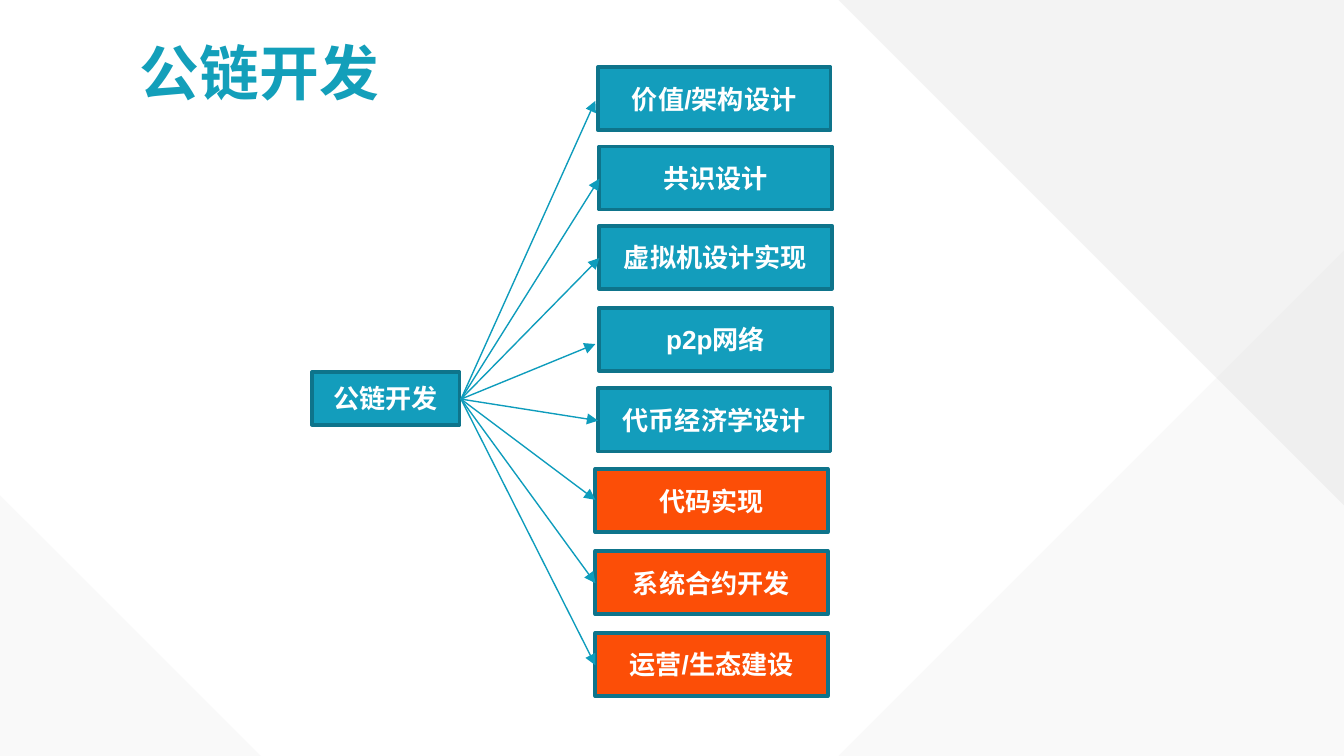
from pptx import Presentation
from pptx.dml.color import RGBColor
from pptx.enum.shapes import MSO_CONNECTOR, MSO_SHAPE
from pptx.enum.text import MSO_ANCHOR, PP_ALIGN
from pptx.oxml.ns import qn
from pptx.util import Inches, Pt
from lxml.etree import SubElement

TEAL = "139DBC"
ORANGE = "FC4E07"
BORDER = "0E748B"
ARROW = "0E9CBC"
TITLE = "139FBA"
GRAY = "D9D9D9"
WHITE = "FFFFFF"
TOPICS = [
    ("价值/架构设计", (2.13, 0), (2.11, 0.25), TEAL),
    ("共识设计", (2.14, 0.59), (2.14, 0.83), TEAL),
    ("虚拟机设计实现", (2.14, 1.18), (2.14, 1.42), TEAL),
    ("p2p网络", (2.14, 1.79), (2.11, 2.06), TEAL),
    ("代币经济学设计", (2.13, 2.39), (2.13, 2.63), TEAL),
    ("代码实现", (2.11, 2.99), (2.11, 3.22), ORANGE),
    ("系统合约开发", (2.11, 3.6), (2.11, 3.84), ORANGE),
    ("运营/生态建设", (2.11, 4.21), (2.11, 4.45), ORANGE),
]


def color(value):
    return RGBColor.from_string(value)


def write_text(shape, text, size, font_color):
    text_frame = shape.text_frame
    text_frame.text = text
    text_frame.vertical_anchor = MSO_ANCHOR.MIDDLE
    paragraph = text_frame.paragraphs[0]
    paragraph.alignment = PP_ALIGN.CENTER
    font = paragraph.runs[0].font
    font.name = "Arial"
    font.size = Pt(size)
    font.bold = True
    font.color.rgb = color(font_color)


def add_corner(slide, left, top, size, alpha, rotation=0, flip=False):
    shape = slide.shapes.add_shape(
        MSO_SHAPE.RIGHT_TRIANGLE, Inches(left), Inches(top), Inches(size), Inches(size))
    shape.shadow.inherit = False
    shape.rotation = rotation
    shape.fill.solid()
    shape.fill.fore_color.rgb = color(GRAY)
    shape.line.fill.background()
    fill_color = shape._element.spPr.find(qn("a:solidFill")).find(qn("a:srgbClr"))
    SubElement(fill_color, qn("a:alpha")).set("val", str(alpha * 1000))
    if flip:
        shape._element.spPr.find(qn("a:xfrm")).set("flipH", "1")


def add_background(slide, width, height):
    large, small = 3.76, 1.94
    add_corner(slide, width - large, height - large, large, 14, flip=True)
    add_corner(slide, 0, height - small, small, 14)
    add_corner(slide, width - large, 0, large, 30, rotation=180)


def add_title(slide, left, top, width, height):
    title = slide.shapes.add_textbox(Inches(left), Inches(top), Inches(width), Inches(height))
    text_frame = title.text_frame
    text_frame.word_wrap = True
    text_frame.margin_left = text_frame.margin_right = Inches(0.1)
    text_frame.margin_top = text_frame.margin_bottom = Inches(0.1)
    write_text(title, "公链开发", 32, TITLE)


def add_box(slide, text, left, top, width, height, fill):
    box = slide.shapes.add_shape(
        MSO_SHAPE.RECTANGLE, Inches(left), Inches(top), Inches(width), Inches(height))
    box.shadow.inherit = False
    box.fill.solid()
    box.fill.fore_color.rgb = color(fill)
    box.line.color.rgb = color(BORDER)
    box.line.width = Pt(2)
    write_text(box, text, 14, WHITE)


def add_arrow(slide, start, end):
    arrow = slide.shapes.add_connector(
        MSO_CONNECTOR.STRAIGHT, *(Inches(value) for value in start + end))
    arrow.line.color.rgb = color(ARROW)
    arrow.line.width = Pt(0.75)
    SubElement(arrow.line._get_or_add_ln(), qn("a:tailEnd")).set("type", "triangle")
    SubElement(arrow._element.spPr, qn("a:effectLst"))


def add_topic_tree(slide, left, top):
    add_box(slide, "公链开发", left, top + 2.27, 1.1, 0.39, TEAL)
    for text, (box_left, box_top), _, fill in TOPICS:
        add_box(slide, text, left + box_left, top + box_top, 1.73, 0.47, fill)
    start = (left + 1.11, top + 2.47)
    for _, _, (tip_left, tip_top), _ in TOPICS:
        add_arrow(slide, start, (left + tip_left, top + tip_top))


def main():
    width = 10
    height = width * 9 / 16
    presentation = Presentation()
    presentation.slide_width = Inches(width)
    presentation.slide_height = Inches(height)
    slide = presentation.slides.add_slide(presentation.slide_layouts[6])
    add_background(slide, width, height)
    add_title(slide, 0.74, 0.26, 2.38, 0.55)
    add_topic_tree(slide, 2.32, 0.5)
    presentation.save("out.pptx")


if __name__ == "__main__":
    main()
